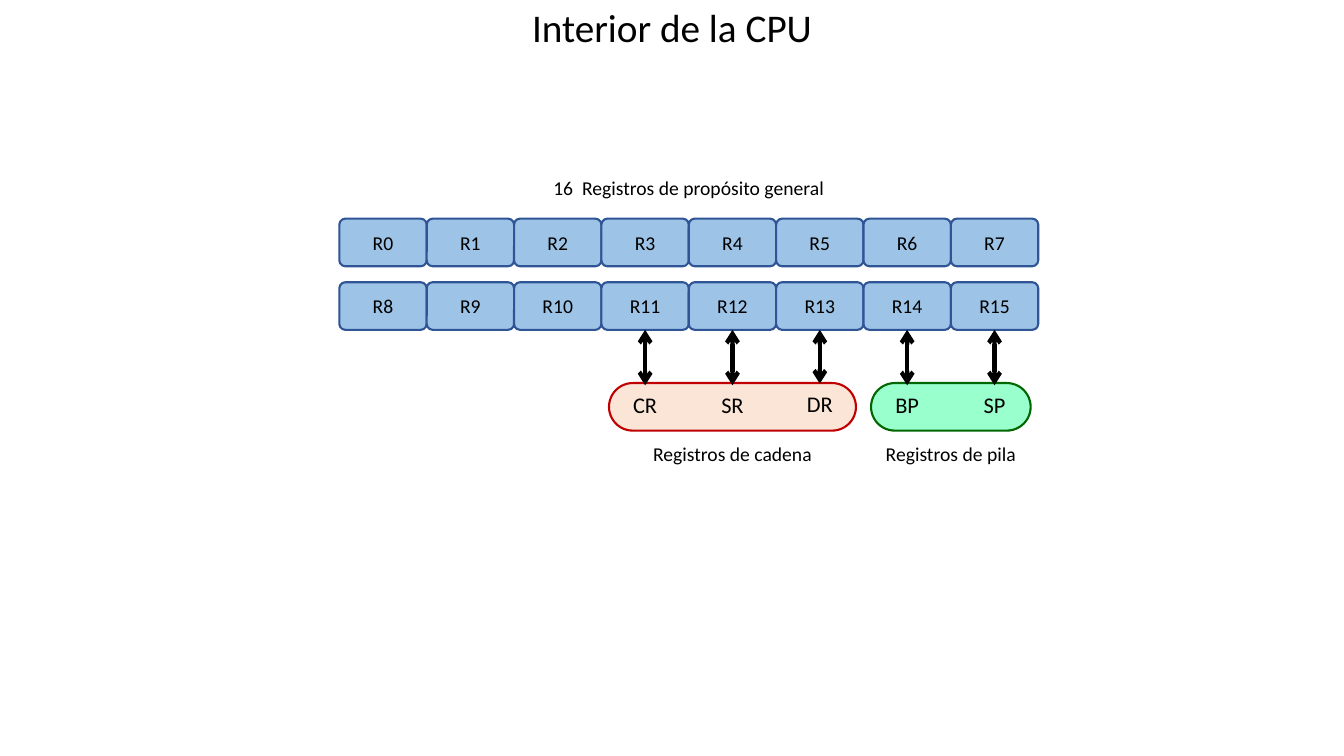
import pptx
import pptx.util
import pptx.dml.color
import pptx.enum.shapes
import pptx.enum.text
import pptx.oxml
import pptx.oxml.ns
from lxml import etree

Pt = pptx.util.Pt
SHAPE = pptx.enum.shapes.MSO_SHAPE
ANCHOR = pptx.enum.text.MSO_ANCHOR
CENTER = pptx.enum.text.PP_ALIGN.CENTER

TITLE = "Interior de la CPU"
CAPTION = "16  Registros de propósito general"
REGISTERS = [f"R{i}" for i in range(16)]
# name, first column, fill, line, special registers with their vertical offset
GROUPS = [
    ("Registros de cadena", 3, "FBE5D6", "C00000", [("CR", 0), ("SR", 0), ("DR", -1.2)]),
    ("Registros de pila", 6, "99FFCC", "006600", [("BP", 0), ("SP", 0)]),
]

COLUMNS = 8
LEFT, CELL_W, CELL_H = 242.4, 62.4, 34
CELL_TOP, ROW_STEP = 156.2, 45.4
CAPTION_TOP, CAPTION_H = 122.4, 24.5
PILL_TOP, PILL_INSET = 273.6, 5.4
LABEL_TOP, LABEL_H = 275.2, 28
GROUP_CAPTION_TOP = 311.8


def color(value):
    return pptx.dml.color.RGBColor.from_string(value)


def write(s, text, size):
    tf = s.text_frame
    tf.word_wrap = True
    tf.text = text
    p = tf.paragraphs[0]
    p.alignment = CENTER
    p.font.size = Pt(size)
    p.font.name = "Calibri"
    p.font.color.rgb = color("000000")
    return p


def add_box(x, y, w, h, adj, fill=None, line=None, text=None, size=14):
    s = sp.add_shape(SHAPE.ROUNDED_RECTANGLE, Pt(x), Pt(y), Pt(w), Pt(h))
    s.adjustments[0] = adj
    s.shadow.inherit = False
    if fill:
        s.fill.solid()
        s.fill.fore_color.rgb = color(fill)
        s.line.color.rgb = color(line)
        s.line.width = Pt(1.5)
    else:
        s.fill.background()
        s.line.fill.background()
    if text:
        write(s, text, size)
        s.text_frame.vertical_anchor = ANCHOR.MIDDLE
    return s


def add_caption(text, x, y, w):
    s = sp.add_textbox(Pt(x), Pt(y), Pt(w), Pt(CAPTION_H))
    write(s, text, 14)
    s.text_frame.auto_size = pptx.enum.text.MSO_AUTO_SIZE.SHAPE_TO_FIT_TEXT


def add_double_arrow(lower, upper):
    c = sp.add_connector(pptx.enum.shapes.MSO_CONNECTOR.STRAIGHT, 0, 0, 0, 0)
    c.begin_connect(lower, 0)
    c.end_connect(upper, 2)
    c.line.color.rgb = color("000000")
    c.line.width = Pt(3)
    ln = c.line._get_or_add_ln()
    for end in ("a:headEnd", "a:tailEnd"):
        etree.SubElement(ln, pptx.oxml.ns.qn(end), type="arrow")
    etree.SubElement(c._element.spPr, pptx.oxml.ns.qn("a:effectLst"))


prs = pptx.Presentation()
prs.slide_width, prs.slide_height = Pt(960), Pt(540)
slide = prs.slides.add_slide(prs.slide_layouts[5])
sp = slide.shapes

title = sp.title
title.left, title.top, title.width, title.height = Pt(0), Pt(0), Pt(960), Pt(43.2)
title.fill.solid()
title.fill.fore_color.rgb = color("FFFFFF")
write(title, TITLE, 28).line_spacing = 0.9
title.text_frame.vertical_anchor = ANCHOR.MIDDLE

add_caption(CAPTION, LEFT, CAPTION_TOP, COLUMNS * CELL_W)

cells = []
for i, name in enumerate(REGISTERS):
    row, col = divmod(i, COLUMNS)
    cells.append(add_box(LEFT + col * CELL_W, CELL_TOP + row * ROW_STEP, CELL_W, CELL_H,
                         0.125, "9DC3E6", "2F5597", name))

for name, first, fill, line, specials in GROUPS:
    x = LEFT + first * CELL_W + PILL_INSET
    w = len(specials) * CELL_W - 2 * PILL_INSET
    add_box(x, PILL_TOP, w, CELL_H, 0.5, fill, line)
    add_caption(name, x, GROUP_CAPTION_TOP, w)
    for col, (special, dy) in enumerate(specials, first):
        label = add_box(LEFT + col * CELL_W, LABEL_TOP + dy, CELL_W, LABEL_H,
                        0.125, text=special, size=16)
        add_double_arrow(label, cells[COLUMNS + col])

prs.save("out.pptx")
